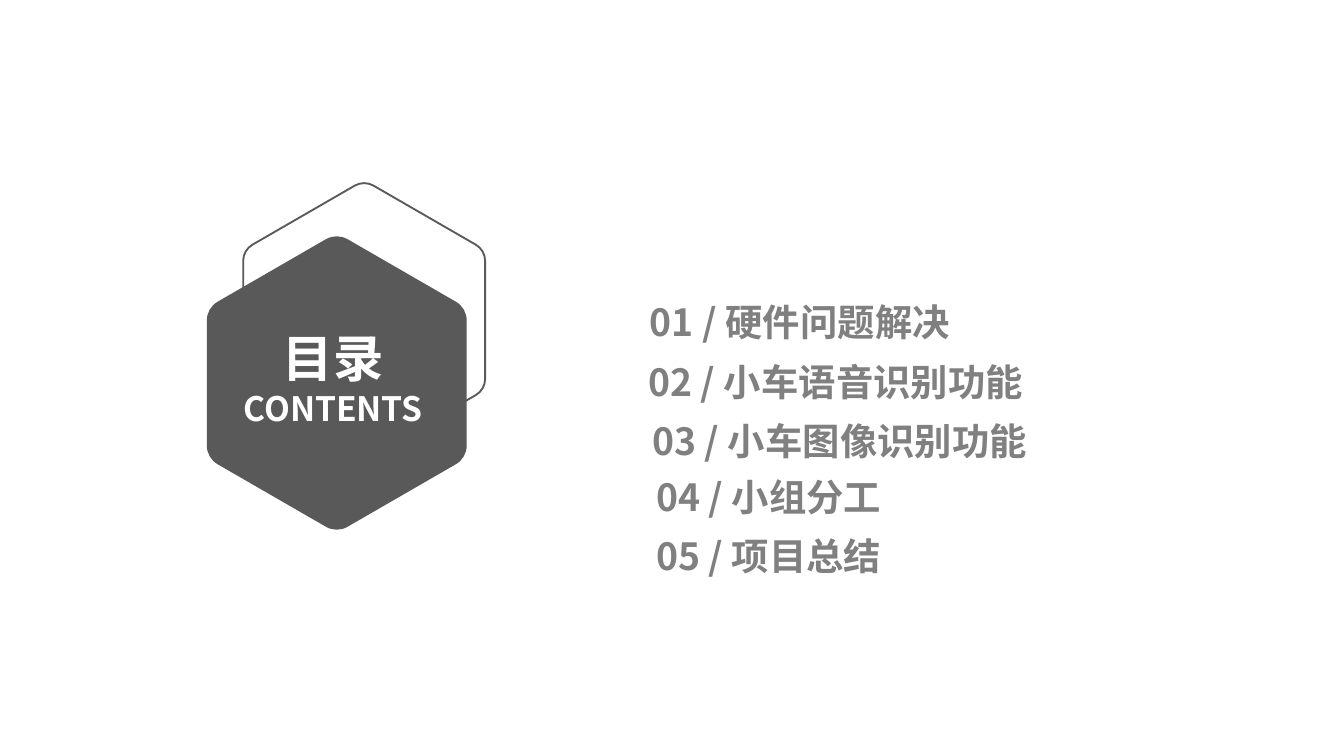
from math import cos, radians, sin, tan

from pptx import Presentation
from pptx.dml.color import RGBColor
from pptx.enum import text
from pptx.oxml.ns import qn
from pptx.util import Pt

FONT = "Noto Sans CJK SC"
DARK, GREY, WHITE = "595959", "808080", "FFFFFF"

# (text, left, top, width)
ENTRIES = [
    ("01 / 硬件问题解决", 343.2, 157.7, 307.4),
    ("02 / 小车语音识别功能", 342.3, 189.4, 252.7),
    ("03 / 小车图像识别功能", 344.5, 221.4, 280.8),
    ("04 / 小组分工", 346.6, 251.3, 280.8),
    ("05 / 项目总结", 346.6, 283, 280.8),
]
TITLE = [("目录", 27), ("CONTENTS", 18)]
OUTLINE = {"center": (195.1, 171.4), "apothem": 64.8, "radius": 10}
BADGE = {"center": (180.4, 205.2), "apothem": 69.6, "radius": 11.5}
INSETS = {"margin_left": Pt(5), "margin_right": Pt(5),
          "margin_top": Pt(2.8), "margin_bottom": Pt(2.8)}


def color(value):
    return RGBColor.from_string(value)


def add_hexagon(slide, center, apothem, radius):
    """Pointy-top hexagon whose corners are arcs of the given radius."""
    reach = (apothem - radius) / cos(radians(30))
    handle = 4 / 3 * tan(radians(15)) * radius
    outline = []
    for corner in range(-90, 270, 60):
        # (angle on the arc, signed length along the tangent there)
        for angle, pull in ((-30, 0), (-30, handle), (30, -handle), (30, 0)):
            turn, spoke = radians(corner + angle), radians(corner)
            outline.append((
                center[0] + reach * cos(spoke) + radius * cos(turn) - pull * sin(turn),
                center[1] + reach * sin(spoke) + radius * sin(turn) + pull * cos(turn)))
    outline = [(Pt(x), Pt(y)) for x, y in outline]
    builder = slide.shapes.build_freeform(*outline[0], scale=1)
    builder.add_line_segments(outline[1:], close=True)
    hexagon = builder.convert_to_shape()
    hexagon.shadow.inherit = False

    # Each corner's three segments become one Bezier curve
    segments = list(hexagon._element.iter(qn("a:lnTo")))
    for first in range(0, len(segments), 4):
        corner = segments[first:first + 3]
        curve = corner[0].makeelement(qn("a:cubicBezTo"), {})
        corner[0].addprevious(curve)
        for segment in corner:
            curve.append(segment[0])
            segment.getparent().remove(segment)
    return hexagon


def add_text(slide, lines, box, ink, align):
    frame = slide.shapes.add_textbox(*map(Pt, box)).text_frame
    settings = {"word_wrap": True, "auto_size": text.MSO_AUTO_SIZE.SHAPE_TO_FIT_TEXT}
    for key, value in {**settings, **INSETS}.items():
        setattr(frame, key, value)
    for index, (words, size) in enumerate(lines):
        paragraph = frame.add_paragraph() if index else frame.paragraphs[0]
        paragraph.alignment = align
        run = paragraph.add_run()
        run.text = words
        for key, value in {"name": FONT, "size": Pt(size), "bold": True}.items():
            setattr(run.font, key, value)
        run.font.color.rgb = color(ink)
        # East Asian glyphs take their face from a:ea
        properties = run.font._element
        properties.append(properties.makeelement(qn("a:ea"), {"typeface": FONT}))


def main():
    deck = Presentation()
    deck.slide_width, deck.slide_height = Pt(720), Pt(405)
    slide = deck.slides.add_slide(deck.slide_layouts[6])

    outline = add_hexagon(slide, **OUTLINE)
    outline.fill.background()
    outline.line.color.rgb = color(DARK)
    outline.line.width = Pt(1)

    badge = add_hexagon(slide, **BADGE)
    badge.fill.solid()
    badge.fill.fore_color.rgb = color(DARK)
    badge.line.fill.background()

    add_text(slide, TITLE, (113, 172.4, 131, 59.8), WHITE, text.PP_ALIGN.CENTER)
    for words, left, top, width in ENTRIES:
        add_text(slide, [(words, 20)], (left, top, width, 29.5), GREY, text.PP_ALIGN.LEFT)
    deck.save("out.pptx")


if __name__ == "__main__":
    main()
